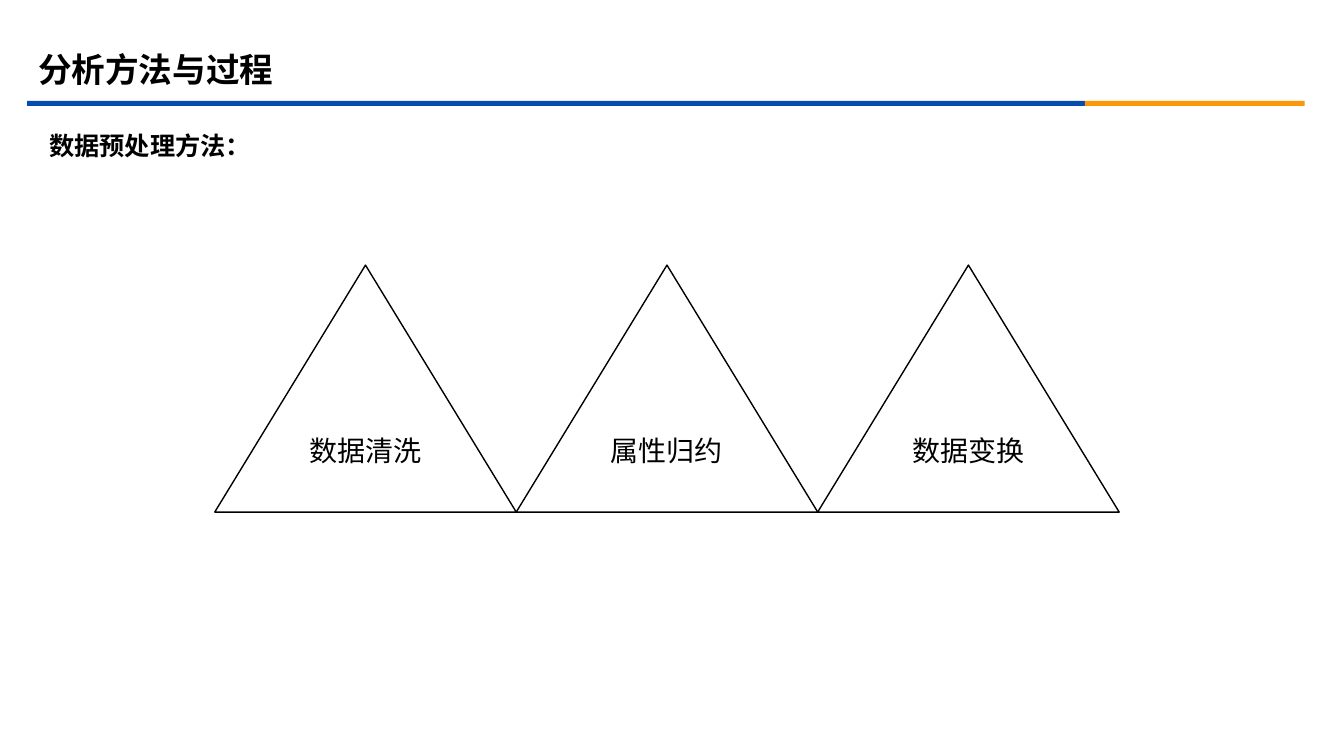
from dataclasses import dataclass

from lxml import etree
from pptx import Presentation
from pptx.dml.color import RGBColor
from pptx.enum.shapes import MSO_SHAPE
from pptx.enum.text import MSO_ANCHOR, PP_ALIGN
from pptx.oxml.ns import qn
from pptx.util import Inches, Pt

RECTANGLE = MSO_SHAPE.RECTANGLE
TRIANGLE = MSO_SHAPE.ISOSCELES_TRIANGLE
TOP, MIDDLE = MSO_ANCHOR.TOP, MSO_ANCHOR.MIDDLE
LEFT, CENTER = PP_ALIGN.LEFT, PP_ALIGN.CENTER
BLANK_LAYOUT = 6


@dataclass(frozen=True)
class Theme:
    ink: RGBColor = RGBColor(0x00, 0x00, 0x00)
    blue: RGBColor = RGBColor(0x06, 0x4B, 0xB2)
    orange: RGBColor = RGBColor(0xFB, 0x97, 0x08)
    chinese_font: str = "Noto Sans CJK SC"
    label_font: str = "Calibri"
    title_size: int = 24
    heading_size: int = 18
    label_size: int = 20
    outline: int = 1


THEME = Theme()
PAGE_WIDTH, PAGE_HEIGHT = Inches(13.33), Inches(7.5)

RULE_LEFT, RULE_TOP, RULE_HEIGHT = Inches(0.27), Inches(1), Inches(0.05)
RULE_PARTS = ((Inches(10.49), THEME.blue), (Inches(2.18), THEME.orange))

STEPS = ("数据清洗", "属性归约", "数据变换")
STEP_LEFT, STEP_TOP = Inches(2.13), Inches(2.63)
STEP_WIDTH, STEP_HEIGHT = Inches(2.99), Inches(2.45)


def set_all(target, values):
    for name, value in values.items():
        setattr(target, name, value)


def write_text(box, text, font_name, size, bold=False, anchor=MIDDLE, paragraph=None):
    frame = box.text_frame
    set_all(frame, {"word_wrap": True, "vertical_anchor": anchor})
    para = frame.paragraphs[0]
    set_all(para, paragraph or {"alignment": LEFT})
    span = para.add_run()
    span.text = text
    set_all(span.font, {"name": font_name, "size": Pt(size), "bold": bold})
    span.font.color.rgb = THEME.ink
    east_asian = etree.SubElement(span.font._element, qn("a:ea"))
    east_asian.set("typeface", THEME.chinese_font)


def add_text(page, area, text, size, **layout):
    box = page.shapes.add_textbox(*area)
    write_text(box, text, THEME.chinese_font, size, bold=True, **layout)


def add_rule(page):
    left = RULE_LEFT
    for width, color in RULE_PARTS:
        bar = page.shapes.add_shape(RECTANGLE, left, RULE_TOP, width, RULE_HEIGHT)
        bar.shadow.inherit = False
        bar.fill.solid()
        bar.fill.fore_color.rgb = color
        bar.line.fill.background()
        left += width


def add_step(page, column, label):
    step = page.shapes.add_shape(
        TRIANGLE, STEP_LEFT + column * STEP_WIDTH, STEP_TOP, STEP_WIDTH, STEP_HEIGHT
    )
    step.shadow.inherit = False
    step.fill.background()
    step.line.color.rgb = THEME.ink
    step.line.width = Pt(THEME.outline)
    write_text(step, label, THEME.label_font, THEME.label_size,
               paragraph={"alignment": CENTER})


def main():
    deck = Presentation()
    set_all(deck, {"slide_width": PAGE_WIDTH, "slide_height": PAGE_HEIGHT})
    page = deck.slides.add_slide(deck.slide_layouts[BLANK_LAYOUT])

    add_rule(page)
    title_area = (Inches(0.28), Inches(0.39), Inches(12), Inches(0.58))
    add_text(page, title_area, "分析方法与过程", THEME.title_size)
    heading_area = (Inches(0.39), Inches(1.09), Inches(11.93), Inches(5.52))
    add_text(page, heading_area, "数据预处理方法：", THEME.heading_size, anchor=TOP,
             paragraph={"line_spacing": 1.5, "space_before": Pt(10)})
    for column, label in enumerate(STEPS):
        add_step(page, column, label)

    deck.save("out.pptx")


if __name__ == "__main__":
    main()
